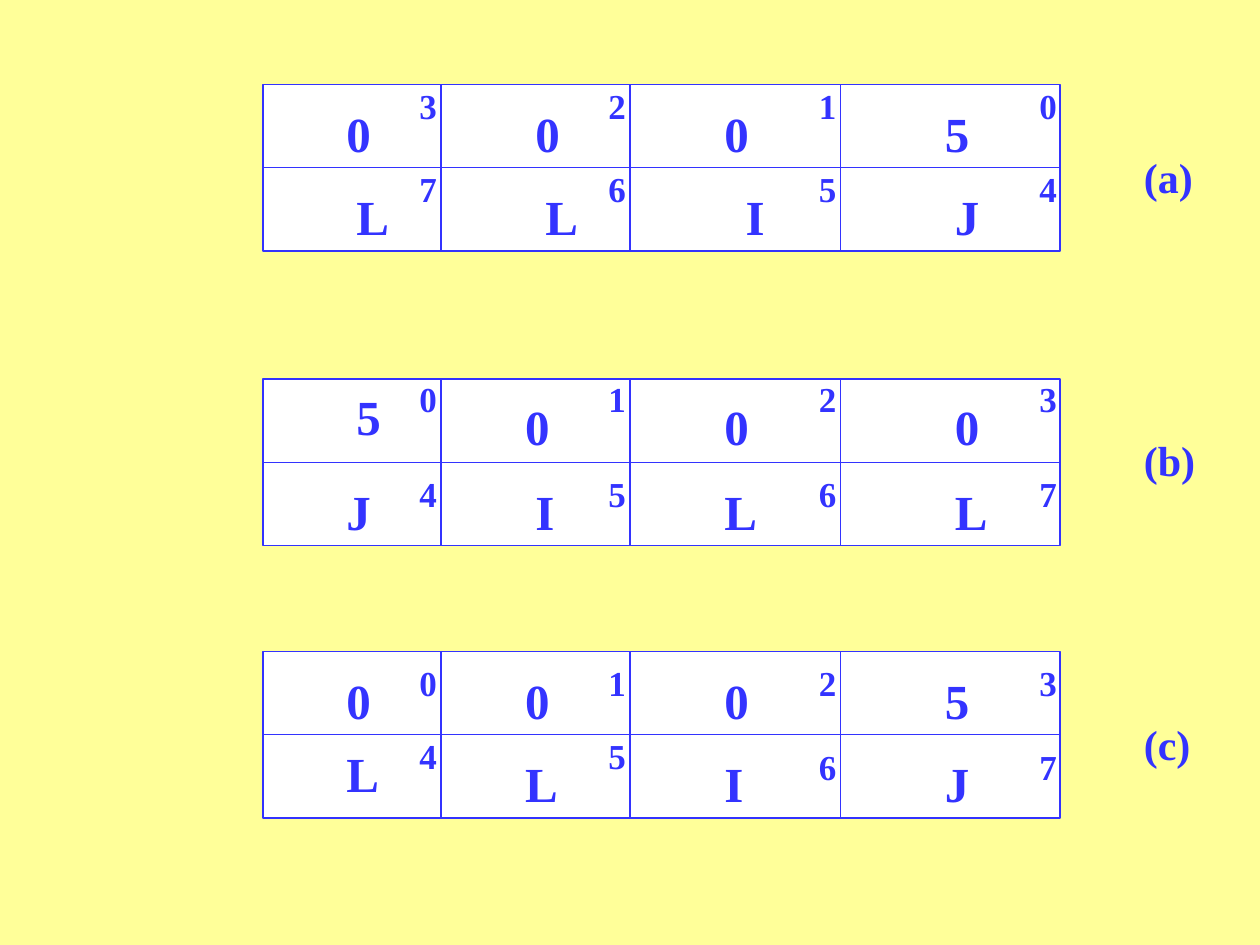
from pptx import Presentation
from pptx.dml.color import RGBColor as Rgb
from pptx.enum.shapes import MSO_CONNECTOR as Conn, MSO_SHAPE as Geo
from pptx.enum.text import MSO_AUTO_SIZE as Auto
from pptx.oxml.ns import qn
from pptx.util import Inches, Pt
from lxml.etree import SubElement as Sub

BLUE = "3333FF"
FONT = {"name": "Times New Roman", "bold": True}
LEFT, WIDE, HIGH = 2.09, 6.32, 1.32
COLS = [3.5, 5, 6.67]
TAGS = [3.23, 4.73, 6.4, 8.15]
SIZES = {"label": (24, 0.5), "tag": (20, 0.43), "byte": (28, 0.57)}
WIDTHS = {"(a)": 0.59, "(b)": 0.61, "(c)": 0.57, "L": 0.46, "I": 0.35}

# Each row: bytes, their lefts, their drops, tags, tag drops
GRIDS = [
    ("(a)", 0.67, 0.48, [
        ("0005", (2.65, 4.15, 5.65, 7.4), (0.1,) * 4, "3210", (-0.05,) * 4),
        ("LLIJ", (2.73, 4.23, 5.82, 7.48), (0.76,) * 4, "7654", (0.61,) * 4)]),
    ("(b)", 3.01, 0.39, [
        ("5000", (2.73, 4.07, 5.65, 7.48), (0.01, 0.09, 0.09, 0.09),
         "0123", (-0.06,) * 4),
        ("JILL", (2.65, 4.15, 5.65, 7.48), (0.76,) * 4, "4567", (0.69,) * 4)]),
    ("(c)", 5.17, 0.48, [
        ("0005", (2.65, 4.07, 5.65, 7.4), (0.1,) * 4, "0123", (0.03,) * 4),
        ("LLIJ", (2.65, 4.07, 5.65, 7.4), (0.68, 0.76, 0.76, 0.76),
         "4567", (0.61, 0.61, 0.7, 0.7))]),
]


def color(code):
    """Turn a hex string into a colour."""
    return Rgb.from_string(code)


def style(obj, vals):
    """Set attributes from a dict."""
    for key, val in vals.items():
        setattr(obj, key, val)


def text(slide, words, kind, x, y):
    """Place one unwrapped bold text of the given kind."""
    size, high = SIZES[kind]
    wide = 0.34 if kind == "tag" else WIDTHS.get(words, 0.4)
    box = slide.shapes.add_textbox(*map(Inches, (x, y, wide, high)))
    style(box.text_frame, {"word_wrap": False, "auto_size": Auto.SHAPE_TO_FIT_TEXT})
    run = box.text_frame.paragraphs[0].add_run()
    run.text = words
    style(run.font, {**FONT, "size": Pt(size)})
    run.font.color.rgb = color(BLUE)


def rule(slide, *ends):
    """Draw a straight blue line between two points."""
    line = slide.shapes.add_connector(Conn.STRAIGHT, *map(Inches, ends))
    line.line.color.rgb = color(BLUE)
    line.line.width = Pt(1)
    Sub(line._element.spPr, qn("a:effectLst"))


def frame(slide, x, y, wide, high):
    """Draw the white box with its row and column lines."""
    box = slide.shapes.add_shape(Geo.RECTANGLE, *map(Inches, (x, y, wide, high)))
    box.shadow.inherit = False
    box.fill.solid()
    box.fill.fore_color.rgb = color("FFFFFF")
    box.line.color.rgb = color(BLUE)
    box.line.width = Pt(1)
    rule(slide, x, y + high / 2, x + wide, y + high / 2)
    for col in COLS:
        rule(slide, col, y, col, y + high)


def grid(slide, name, top, drop, rows):
    """Draw one memory layout with its bytes, tags and label."""
    frame(slide, LEFT, top, WIDE, HIGH)
    text(slide, name, "label", 8.98, top + drop)
    for chars, lefts, drops, nums, falls in rows:
        for num, x, dy in zip(nums, TAGS, falls):
            text(slide, num, "tag", x, top + dy)
        for char, x, dy in zip(chars, lefts, drops):
            text(slide, char, "byte", x, top + dy)


def main():
    """Build and save the slide."""
    deck = Presentation()
    style(deck, {"slide_width": Inches(10), "slide_height": Inches(7.5)})
    slide = deck.slides.add_slide(deck.slide_layouts[6])
    slide.background.fill.solid()
    slide.background.fill.fore_color.rgb = color("FFFF99")
    for item in GRIDS:
        grid(slide, *item)
    deck.save("out.pptx")


if __name__ == "__main__":
    main()
